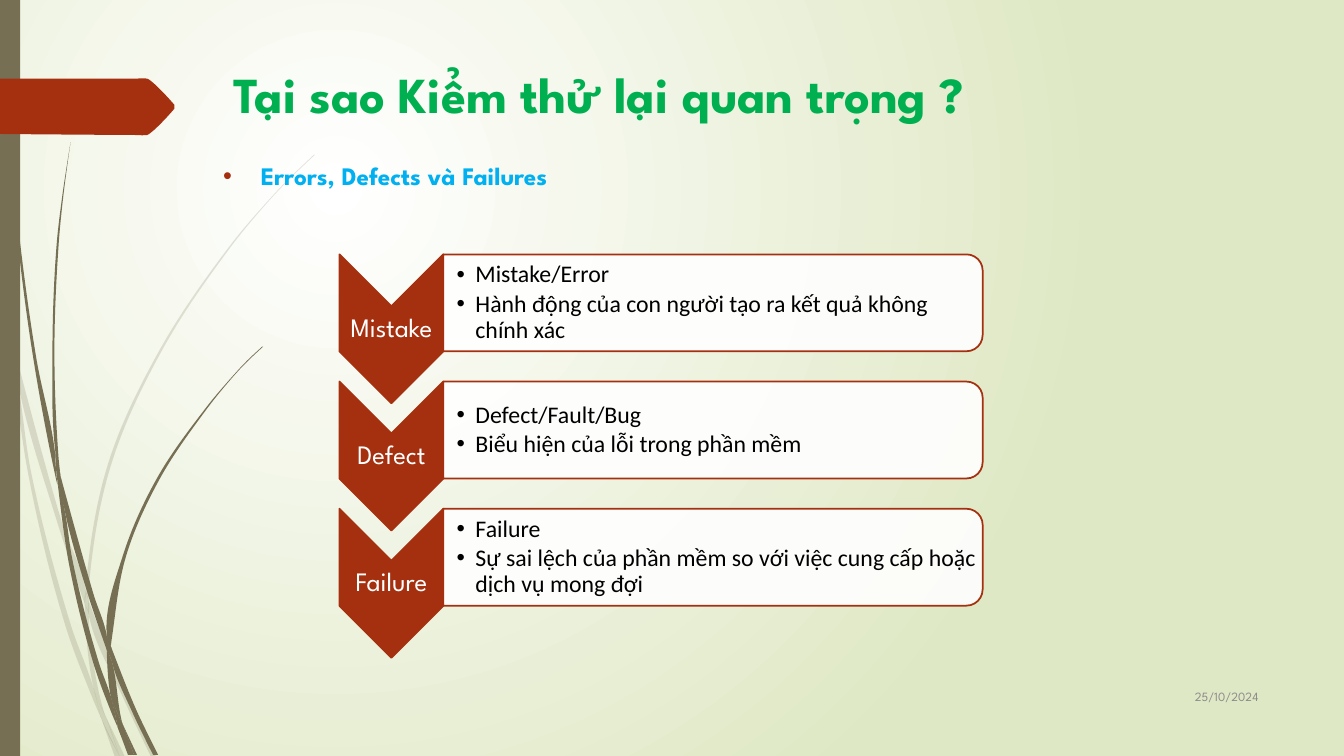
from dataclasses import dataclass
from math import dist

from lxml.etree import SubElement
from pptx import Presentation
from pptx.dml.color import RGBColor as RGB
from pptx.enum.shapes import MSO_SHAPE as Shape
from pptx.enum.text import MSO_ANCHOR as Anchor, MSO_AUTO_SIZE as AutoSize, PP_ALIGN as Align
from pptx.oxml.ns import qn
from pptx.util import Pt


@dataclass(frozen=True)
class Theme:
    white: RGB = RGB.from_string("FFFFFF")
    black: RGB = RGB.from_string("000000")
    backdrop: RGB = RGB.from_string("DFE8C4")
    grass: RGB = RGB.from_string("766F54")
    rust: RGB = RGB.from_string("A53010")
    green: RGB = RGB.from_string("00B050")
    blue: RGB = RGB.from_string("00B0F0")
    grey: RGB = RGB.from_string("8C8C8C")
    head: str = "League Spartan"
    text: str = "Calibri"
    title_size: int = 36
    body_size: int = 18
    label_size: int = 19
    detail_size: int = 17
    date_size: int = 9


T = Theme()
WIDTH, HEIGHT = 960, 540
GRID = 0.72  # points per unit of the outlines below

# Corner and curve points of each blade, as "x,y" on the grid
PALE_BLADES = [
    "11,350 9,322 0,282 0,299 10,344",
    "58,522 84,599 85,586 62,520 14,345 17,376",
    "92,607 88,596 88,610 123,694 150,751 155,751 127,692",
    "119,751 124,751 105,711",
    "93,683 70,619 31,469 17,376 11,350 28,470 65,621 92,693 101,714 99,707",
    "84,599 87,646 93,683 96,692 105,711 103,706 91,646 88,610 88,608",
    "88,584 110,462 160,349 229,245 268,198 290,175 312,154 312,153 289,175 268,197 228,244 "
    "158,348 107,461 85,584 85,586 88,596",
    "101,714 114,751 119,751",
    "88,608 88,610 88,596 85,586 84,599",
    "96,692 93,683 99,707 101,714 119,751 105,711",
]
DARK_BLADES = [
    "7,110 17,233 33,355 56,477 57,481 55,457 55,453 36,355 19,232 8,109 5,48 4,0 3,0 4,48",
    "88,592 106,645 106,633 106,631 93,590 60,472 64,505",
    "113,649 110,641 111,656 132,708 152,749 157,749 136,706",
    "110,691 98,657 72,556 64,505 57,477 68,557 93,659 111,708 117,722 116,717",
    "60,472 58,453 54,349 58,245 63,193 70,141 62,193 56,245 52,349 55,449",
    "133,749 136,749 122,719",
    "57,477 64,505 60,472 55,449 55,453",
    "111,633 125,552 158,476 205,406 231,374 245,359 261,344 260,344 245,358 231,373 204,405 "
    "156,474 122,551 106,631 110,641",
    "117,722 127,749 131,749",
    "106,645 110,691 116,706 122,719 121,716 111,656 109,651",
    "106,645 109,651 111,656 110,641 106,631 106,633",
    "116,706 110,691 116,717 117,722 130,749 133,749 122,719",
]
TAG = "173,108 148,133 146,134 136,134 0,133 0,78 136,78 146,78 148,79 173,104"
STEPS = [
    ("Mistake", "Mistake/Error", "Hành động của con người tạo ra kết quả không chính xác"),
    ("Defect", "Defect/Fault/Bug", "Biểu hiện của lỗi trong phần mềm"),
    ("Failure", "Failure", "Sự sai lệch của phần mềm so với việc cung cấp hoặc dịch vụ mong đợi"),
]


def place(shape, x, y, w, h):
    shape.left, shape.top, shape.width, shape.height = Pt(x), Pt(y), Pt(w), Pt(h)


def paint(shape, color, line=None, opacity=100):
    shape.shadow.inherit = False
    shape.fill.solid()
    shape.fill.fore_color.rgb = color
    if opacity < 100:
        rgb = next(shape.element.spPr.iter(qn("a:srgbClr")))
        SubElement(rgb, qn("a:alpha"), val=str(opacity * 1000))
    if line is None:
        shape.line.fill.background()
    else:
        shape.line.color.rgb = line
        shape.line.width = Pt(1.25)


def write(p, text, size, color, font=T.head, bold=False, align=Align.LEFT, spacing=1, before=0, after=0):
    p.alignment, p.line_spacing = align, spacing
    p.space_before, p.space_after = Pt(before), Pt(after)
    r = p.add_run()
    r.text = text
    r.font.size, r.font.name, r.font.bold = Pt(size), font, bold
    r.font.color.rgb = color


def add_bullet(p, indent, color):
    """Add a hanging bullet; call it after the paragraph spacing is set."""
    pPr = p._p.get_or_add_pPr()
    pPr.set("marL", str(Pt(indent)))
    pPr.set("indent", str(-Pt(indent)))
    SubElement(SubElement(pPr, qn("a:buClr")), qn("a:srgbClr"), val=str(color))
    SubElement(pPr, qn("a:buFont"), typeface="Arial")
    SubElement(pPr, qn("a:buChar"), char="•")


def set_frame(tf, anchor, left=7.2, top=3.6, right=7.2, bottom=3.6):
    tf.word_wrap, tf.auto_size, tf.vertical_anchor = True, AutoSize.NONE, anchor
    tf.margin_left, tf.margin_top = Pt(left), Pt(top)
    tf.margin_right, tf.margin_bottom = Pt(right), Pt(bottom)


def add_text_box(shapes, box, **margins):
    tf = shapes.add_textbox(*map(Pt, box)).text_frame
    set_frame(tf, Anchor.MIDDLE, **margins)
    return tf


def tangent(before, point, after):
    """Return the unit direction of a curve at a point, or zero at a corner."""
    back, ahead = dist(before, point), dist(point, after)
    u = [(b - a) / back for a, b in zip(before, point)]
    v = [(b - a) / ahead for a, b in zip(point, after)]
    if u[0] * v[0] + u[1] * v[1] < 0.8:
        return 0, 0
    size = dist((0, 0), (u[0] + v[0], u[1] + v[1]))
    return (u[0] + v[0]) / size, (u[1] + v[1]) / size


def bend(shape):
    """Turn the straight sides of a freeform into curves, keeping its corners."""
    outline = next(shape.element.iter(qn("a:path")))
    points = [(int(pt.get("x")), int(pt.get("y"))) for pt in outline.iter(qn("a:pt"))]
    n = len(points)
    slopes = [tangent(points[i - 1], points[i], points[(i + 1) % n]) for i in range(n)]
    for side in list(outline)[1:]:
        outline.remove(side)
    for i in range(n):
        j = (i + 1) % n
        start, end = points[i], points[j]
        third = dist(start, end) / 3
        leave = [a + third * d for a, d in zip(start, slopes[i])]
        arrive = [a - third * d for a, d in zip(end, slopes[j])]
        curve = SubElement(outline, qn("a:cubicBezTo"))
        for x, y in (leave, arrive, end):
            SubElement(curve, qn("a:pt"), x=str(round(x)), y=str(round(y)))
    SubElement(outline, qn("a:close"))


def add_outline(shapes, outline, color, opacity=100):
    points = [tuple(Pt(GRID * int(v)) for v in pair.split(",")) for pair in outline.split()]
    builder = shapes.build_freeform(*points[0])
    builder.add_line_segments(points[1:], close=True)
    shape = builder.convert_to_shape()
    bend(shape)
    paint(shape, color, opacity=opacity)


def add_backdrop(s):
    fill = s.background.fill
    fill.gradient()
    for stop, color in zip(fill.gradient_stops, (T.white, T.backdrop)):
        stop.color.rgb = color
    grad = next(s.element.iter(qn("a:gradFill")))
    grad.remove(grad.find(qn("a:lin")))
    circle = SubElement(grad, qn("a:path"), path="circle")
    SubElement(circle, qn("a:fillToRect"), l="50000", t="50000", r="100000", b="100000")


def add_left_edge(s):
    for blades, opacity in ((PALE_BLADES, 20), (DARK_BLADES, 100)):
        tuft = s.shapes.add_group_shape()
        for blade in blades:
            add_outline(tuft.shapes, blade, T.grass, opacity)
    bar = s.shapes.add_shape(Shape.RECTANGLE, 0, 0, Pt(14.4), Pt(HEIGHT))
    paint(bar, T.grass)
    add_outline(s.shapes, TAG, T.rust)


def add_headings(s, x, y, w):
    title, body = s.shapes.title, s.placeholders[1]
    place(title, x + 7.2, y, w - 7.2, 65)
    place(body, x, y + 69.4, w, 39.6)
    for ph in (title, body):
        set_frame(ph.text_frame, Anchor.TOP)
        s.shapes.element.append(ph.element)  # bring in front of the grass
    write(title.text_frame.paragraphs[0], "Tại sao Kiểm thử lại quan trọng ?",
          T.title_size, T.green, bold=True)
    p = body.text_frame.paragraphs[0]
    write(p, "Errors, Defects và Failures", T.body_size, T.blue, bold=True, before=10)
    add_bullet(p, 27, T.rust)


def add_turned_shape(shapes, kind, x, y, w, h):
    """Add a shape turned by 90 degrees that covers the given box."""
    shape = shapes.add_shape(kind, Pt(x + (w - h) / 2), Pt(y + (h - w) / 2), Pt(h), Pt(w))
    shape.rotation = 90
    return shape


def add_step(shapes, x, y, w, label, details):
    arrow_w, arrow_h, panel_h = 74.2, 106.4, 69.2
    panel_x, panel_w = x + arrow_w, w - arrow_w
    paint(add_turned_shape(shapes, Shape.CHEVRON, x, y, arrow_w, arrow_h), T.rust, line=T.rust)
    tf = add_text_box(shapes, (x, y + 37.1, arrow_w, 32), left=1, top=1, right=1, bottom=1)
    write(tf.paragraphs[0], label, T.label_size, T.white, align=Align.CENTER, spacing=0.9)
    panel = add_turned_shape(shapes, Shape.ROUND_2_SAME_RECTANGLE, panel_x, y, panel_w, panel_h)
    paint(panel, T.white, line=T.rust, opacity=90)
    tf = add_text_box(shapes, (panel_x, y + 3.2, panel_w - 3.4, panel_h - 6.4),
                      left=9.4, top=1, right=1, bottom=1)
    for i, detail in enumerate(details):
        p = tf.add_paragraph() if i else tf.paragraphs[0]
        write(p, detail, T.detail_size, T.black, font=T.text, spacing=0.9, after=2.6)
        add_bullet(p, 13.5, T.black)


def add_steps(s, x, y, w, pitch):
    group = s.shapes.add_group_shape()
    for i, (label, *details) in enumerate(STEPS):
        add_step(group.shapes, x, y + i * pitch, w, label, details)


def add_date(s, x, y, w, h):
    tf = add_text_box(s.shapes, (x, y, w, h))
    write(tf.paragraphs[0], "25/10/2024", T.date_size, T.grey, align=Align.RIGHT)


def main():
    prs = Presentation()
    prs.slide_width, prs.slide_height = Pt(WIDTH), Pt(HEIGHT)
    s = prs.slides.add_slide(prs.slide_layouts[1])
    add_backdrop(s)
    add_left_edge(s)
    add_headings(s, 152.2, 41.4, 709)
    add_date(s, 816, 482.5, 90, 29.5)
    add_steps(s, 242.5, 181.7, 459.4, 90.85)
    prs.save("out.pptx")


if __name__ == "__main__":
    main()
